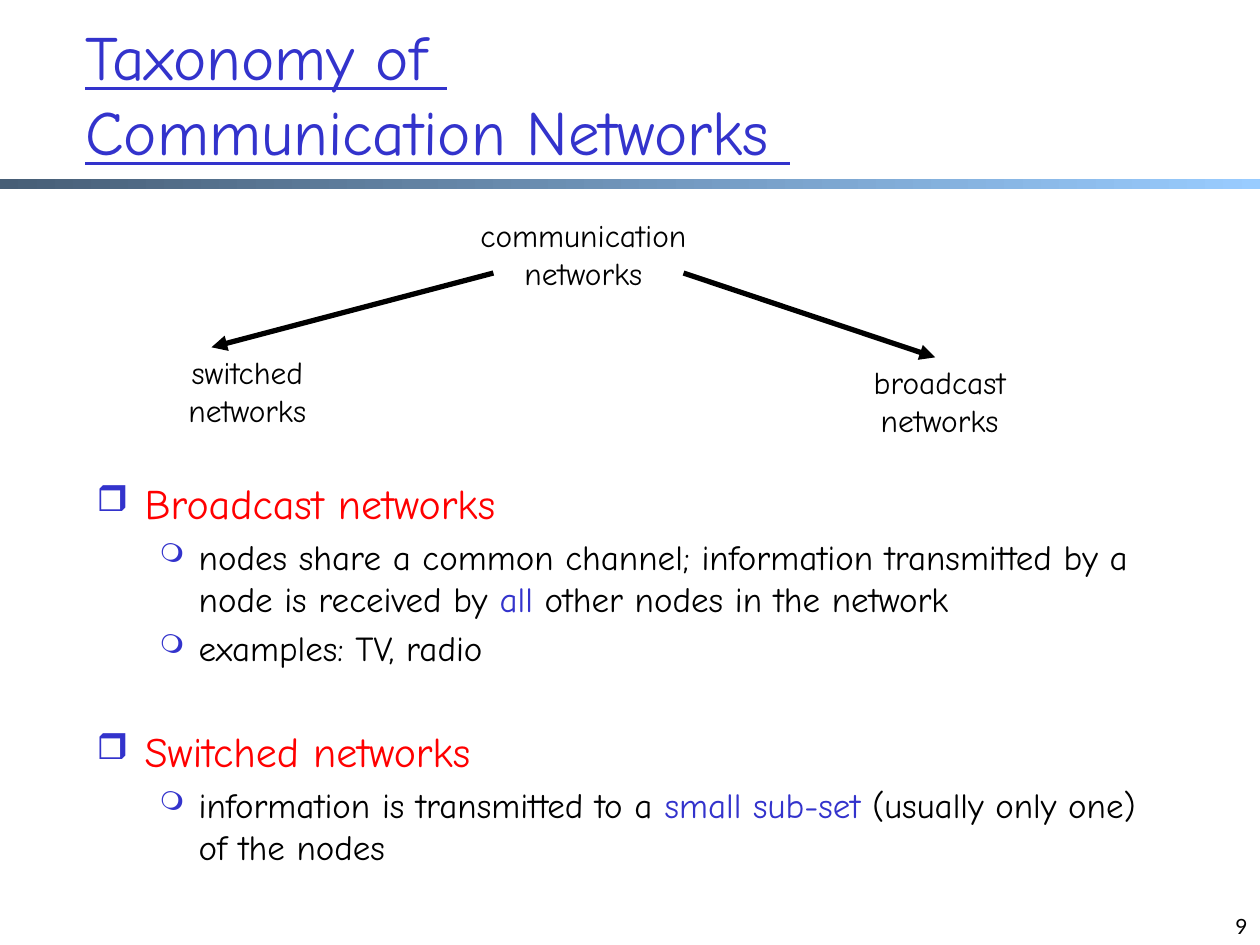
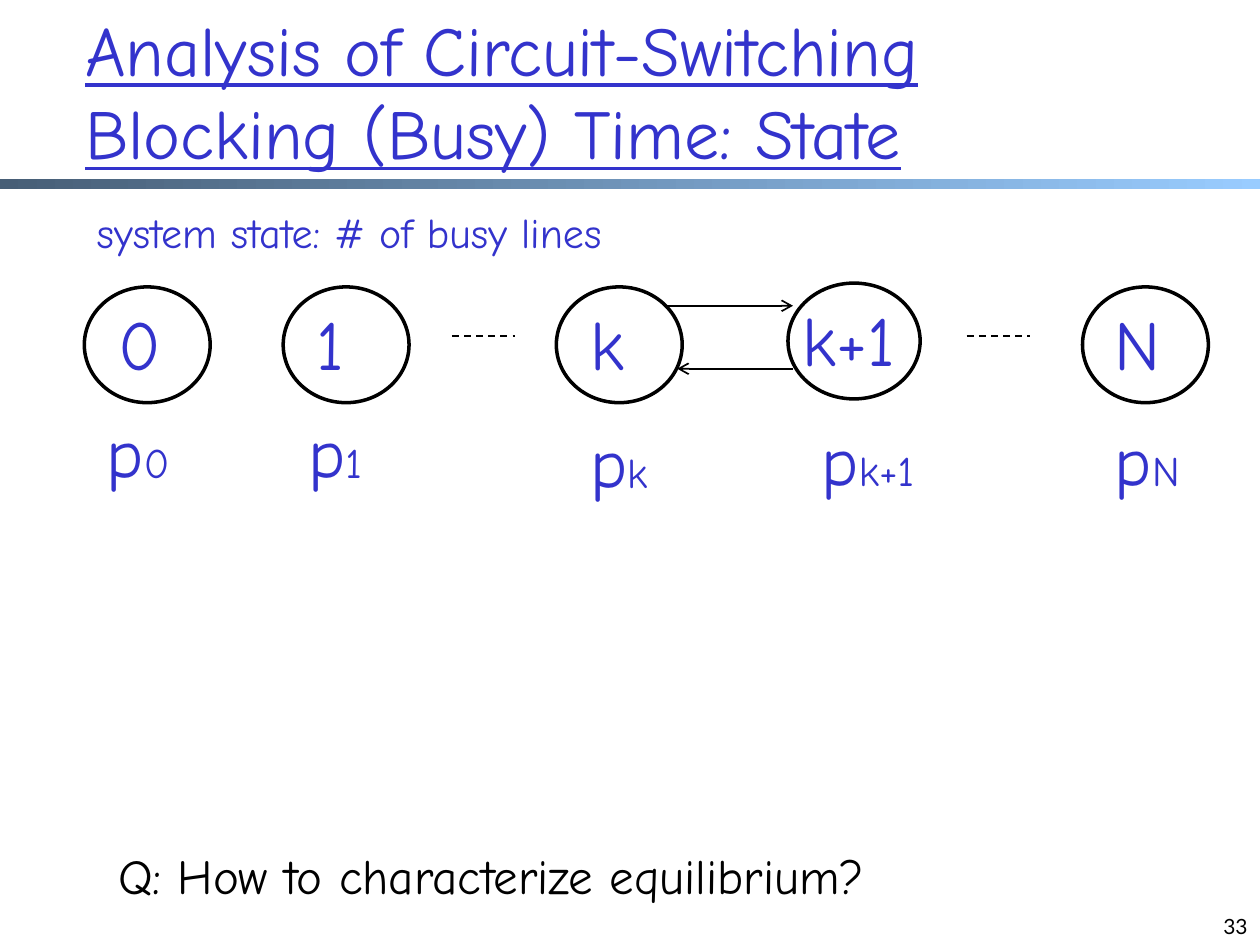
"""Build two slides on network taxonomy and circuit-switching states."""
from lxml import etree
from pptx import Presentation
from pptx.dml.color import RGBColor
from pptx.enum.dml import MSO_LINE
from pptx.enum.shapes import MSO_CONNECTOR, MSO_SHAPE
from pptx.enum.text import MSO_ANCHOR, PP_ALIGN
from pptx.oxml.ns import qn
from pptx.util import Inches, Pt

TOP, MIDDLE, BOTTOM = MSO_ANCHOR.TOP, MSO_ANCHOR.MIDDLE, MSO_ANCHOR.BOTTOM
LEFT, CENTER, RIGHT = PP_ALIGN.LEFT, PP_ALIGN.CENTER, PP_ALIGN.RIGHT
STRAIGHT, DASH = MSO_CONNECTOR.STRAIGHT, MSO_LINE.DASH
RECTANGLE, OVAL = MSO_SHAPE.RECTANGLE, MSO_SHAPE.OVAL

BLUE = RGBColor(0x33, 0x33, 0xCC)
RED = RGBColor(0xFF, 0, 0)
BLACK = RGBColor(0, 0, 0)
BAND_DARK = RGBColor(0x47, 0x5E, 0x76)
BAND_LIGHT = RGBColor(0x99, 0xCC, 0xFF)
HAND, PLAIN = "Comic Neue", "Lato"
WIDTH, HEIGHT = 10.01, 7.51

TAXONOMY_TITLE = "Taxonomy of \nCommunication Networks "
NETWORKS = [
    ("communication\nnetworks", 3.51, 1.67),
    ("broadcast\nnetworks", 6.34, 2.84),
    ("switched\nnetworks", 0.84, 2.76),
]
BRANCHES = [((3.92, 2.17), (1.68, 2.76)), ((5.43, 2.17), (7.43, 2.84))]
DEFINITIONS = [
    (0, 0, [("Broadcast networks", RED)]),
    (1, 4, [("nodes share a common channel; information transmitted by a "
             "node is received by ", BLACK), ("all", BLUE),
            (" other nodes in the network", BLACK)]),
    (1, 4, [("examples: TV, radio", BLACK)]),
    (0, 33, [("Switched networks", RED)]),
    (1, 4, [("information is transmitted to a ", BLACK),
            ("small sub-set", BLUE),
            (" (usually only one) of the nodes", BLACK)]),
]
LEVELS = [
    {"size": 24, "margin": 0.38, "hang": 0.38, "mark": "❒", "percent": 85},
    {"size": 20, "margin": 0.81, "hang": 0.31, "mark": "❍", "percent": 75},
]

STATE_TITLE = "Analysis of Circuit-Switching Blocking (Busy) Time: State"
STATE_CAPTION = "system state: # of busy lines"
QUESTION = "Q: How to characterize equilibrium?"
STATES = [
    # name, circle (left, top, width), name left, probability (left, top)
    ("0", (0.67, 2.28, 1), 0.84, (0.75, 3.2)),
    ("1", (2.25, 2.28, 1), 2.42, (2.35, 3.2)),
    ("k", (4.42, 2.28, 1), 4.59, (4.59, 3.28)),
    ("k+1", (6.26, 2.25, 1.05), 6.28, (6.43, 3.26)),
    ("N", (8.6, 2.28, 1), 8.76, (8.76, 3.26)),
]
TRANSITIONS = [((5.3, 2.43), (6.3, 2.43)), ((6.3, 2.93), (5.38, 2.93))]
GAP_LEFTS, GAP_WIDTH, GAP_Y = (3.59, 7.68), 0.5, 2.67


def add_runs(paragraph, runs, font=HAND, underline=None):
    for text, size, color in runs:
        for index, line in enumerate(text.split("\n")):
            if index:
                paragraph.add_line_break()
            run = paragraph.add_run()
            run.text = line
            run.font.name = font
            run.font.size = Pt(size)
            run.font.color.rgb = color
            run.font.underline = underline


def add_frame(slide, left, top, width, height, anchor=TOP):
    frame = slide.shapes.add_textbox(
        Inches(left), Inches(top), Inches(width), Inches(height)).text_frame
    frame.word_wrap = True
    frame.vertical_anchor = anchor
    return frame


def add_text(slide, box, runs, align=LEFT, anchor=TOP, **style):
    paragraph = add_frame(slide, *box, anchor).paragraphs[0]
    paragraph.alignment = align
    add_runs(paragraph, runs, **style)


def add_preset(slide, kind, left, top, width, height):
    shape = slide.shapes.add_shape(
        kind, Inches(left), Inches(top), Inches(width), Inches(height))
    shape.shadow.inherit = False
    return shape


def add_line(slide, start, end, weight, arrow=None, dash=None):
    line = slide.shapes.add_connector(
        STRAIGHT, *(Inches(value) for value in (*start, *end)))
    line.line.color.rgb = BLACK
    line.line.width = Pt(weight)
    if dash:
        line.line.dash_style = dash
    if arrow:
        etree.SubElement(line.line._get_or_add_ln(), qn("a:tailEnd"), type=arrow)
    etree.SubElement(line._element.spPr, qn("a:effectLst"))


def add_bullet(paragraph, level):
    properties = paragraph._p.get_or_add_pPr()
    properties.set("marL", str(Inches(level["margin"])))
    properties.set("indent", str(-Inches(level["hang"])))
    color = etree.SubElement(properties, qn("a:buClr"))
    etree.SubElement(color, qn("a:srgbClr"), val=str(BLUE))
    etree.SubElement(properties, qn("a:buSzPct"), val=str(level["percent"] * 1000))
    etree.SubElement(properties, qn("a:buChar"), char=level["mark"])


def add_base(deck, title, size, anchor, number):
    slide = deck.slides.add_slide(deck.slide_layouts[6])
    band = add_preset(slide, RECTANGLE, 0, 1.42, WIDTH, 0.08)
    band.line.fill.background()
    band.fill.gradient()
    band.fill.gradient_angle = 0
    for stop, color in zip(band.fill.gradient_stops, (BAND_DARK, BAND_LIGHT)):
        stop.color.rgb = color
    add_text(slide, (0.58, 0.09, 8.51, 1.25), [(title, size, BLUE)],
             anchor=anchor, underline=True)
    add_text(slide, (7.68, 7.01, 2.33, 0.5), [(number, 12, BLACK)],
             RIGHT, BOTTOM, font=PLAIN)
    return slide


def build_taxonomy(deck):
    slide = add_base(deck, TAXONOMY_TITLE, 36, TOP, "9")
    body = add_frame(slide, 0.67, 3.75, 8.51, 3.34)
    for index, (depth, space, pieces) in enumerate(DEFINITIONS):
        paragraph = body.add_paragraph() if index else body.paragraphs[0]
        level = LEVELS[depth]
        paragraph.level = depth
        if space:
            paragraph.space_before = Pt(space)
        add_bullet(paragraph, level)
        add_runs(paragraph, [(text, level["size"], color) for text, color in pieces])
    for name, left, top in NETWORKS:
        add_text(slide, (left, top, 2.25, 0.7), [(name, 18, BLACK)], CENTER)
    for start, end in BRANCHES:
        add_line(slide, start, end, 3, arrow="triangle")


def build_states(deck):
    slide = add_base(deck, STATE_TITLE, 40, MIDDLE, "33")
    add_text(slide, (0.67, 1.59, 4.8, 0.51), [(STATE_CAPTION, 24, BLUE)])
    for start, end in TRANSITIONS:
        add_line(slide, start, end, 1, arrow="arrow")
    for left in GAP_LEFTS:
        add_line(slide, (left, GAP_Y), (left + GAP_WIDTH, GAP_Y), 1, dash=DASH)
    for name, (left, top, width), name_left, probability in STATES:
        circle = add_preset(slide, OVAL, left, top, width, 0.92)
        circle.fill.background()
        circle.line.color.rgb = BLACK
        circle.line.width = Pt(2)
        add_text(slide, (name_left, top + 0.06, 1.03, 0.78), [(name, 40, BLUE)])
        add_text(slide, (*probability, 1, 0.78), [("p", 40, BLUE), (name, 24, BLUE)])
    add_text(slide, (0.84, 6.67, 6.85, 0.57), [(QUESTION, 28, BLACK)])


def main():
    deck = Presentation()
    deck.slide_width, deck.slide_height = Inches(WIDTH), Inches(HEIGHT)
    build_taxonomy(deck)
    build_states(deck)
    deck.save("out.pptx")


if __name__ == "__main__":
    main()
